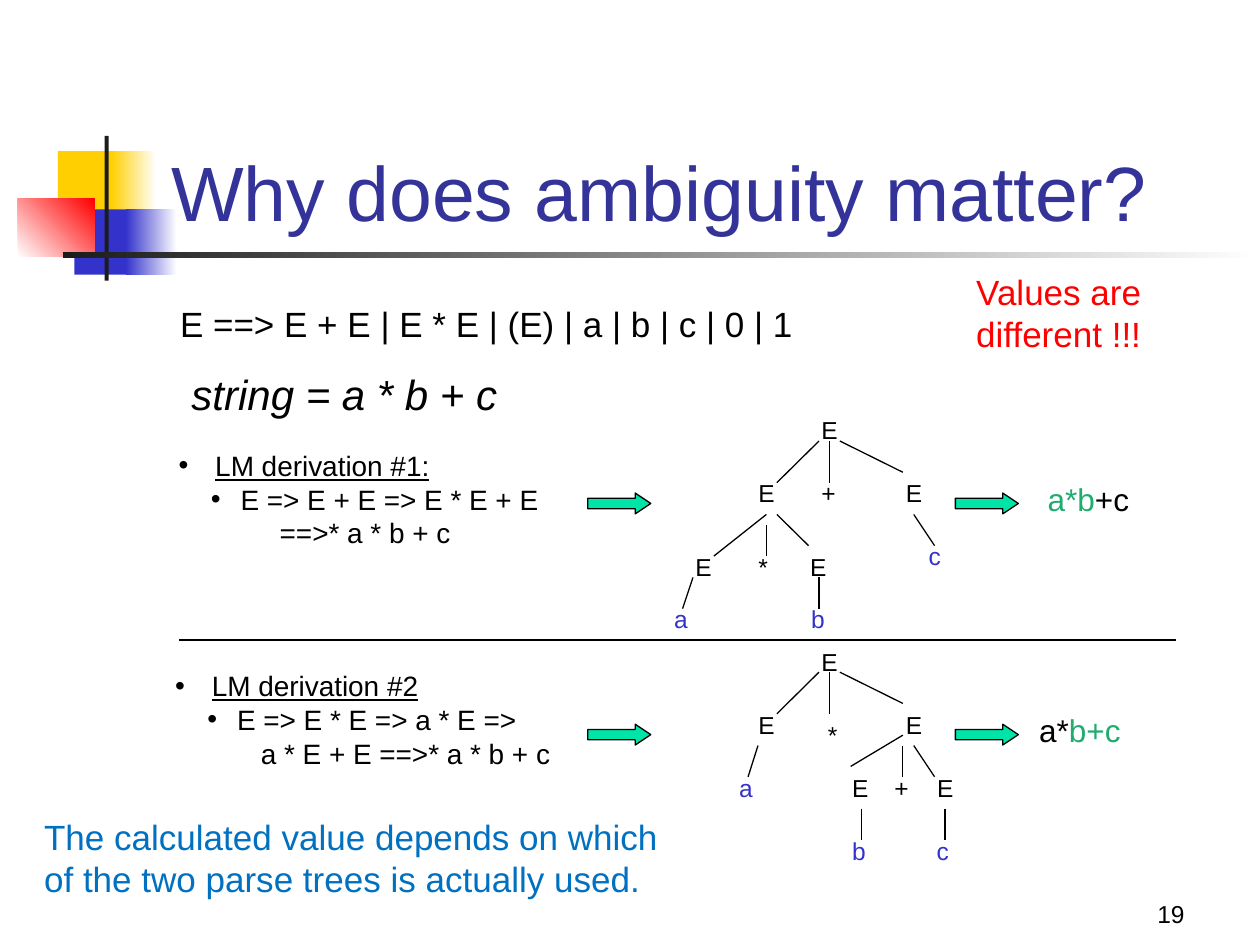
from dataclasses import dataclass

from lxml import etree
from pptx import Presentation
from pptx.dml.color import RGBColor
from pptx.enum.shapes import MSO_CONNECTOR, MSO_SHAPE
from pptx.enum.text import MSO_ANCHOR, PP_ALIGN
from pptx.oxml.ns import qn
from pptx.util import Cm, Pt

RECT, ARROW = MSO_SHAPE.RECTANGLE, MSO_SHAPE.RIGHT_ARROW
STRAIGHT = MSO_CONNECTOR.STRAIGHT
BOTTOM, LEFT, RIGHT = MSO_ANCHOR.BOTTOM, PP_ALIGN.LEFT, PP_ALIGN.RIGHT

FONT = "Arial"
BLACK = RGBColor(0x00, 0x00, 0x00)
WHITE = RGBColor(0xFF, 0xFF, 0xFF)
INK = RGBColor(0x1C, 0x1C, 0x1C)
GOLD = RGBColor(0xFF, 0xCF, 0x01)
BLUE = RGBColor(0x33, 0x33, 0xCC)
NAVY = RGBColor(0x33, 0x33, 0x99)
RED = RGBColor(0xFF, 0x00, 0x00)
SKY = RGBColor(0x00, 0x70, 0xC0)
MINT = RGBColor(0x00, 0xE4, 0xA8)
GREEN = RGBColor(0x20, 0xAC, 0x6F)


@dataclass
class Block:
    left: float
    top: float
    width: float
    height: float
    fill: RGBColor
    end: RGBColor | None = None
    angle: float = 0


@dataclass
class Note:
    text: str
    left: float
    top: float
    width: float
    height: float
    size: float
    color: RGBColor = BLACK


@dataclass
class Tree:
    """A parse tree; the y values of nodes and edges count from top."""
    top: float
    nodes: list[tuple[str, float, float]]
    edges: list[tuple[float, float, float, float]]


BLOCKS = [
    Block(1.17, 3.05, 1.22, 1.32, GOLD),
    Block(2.24, 3.05, 0.91, 1.32, GOLD, WHITE),
    Block(1.5, 4.22, 1.17, 1.32, BLUE),
    Block(2.54, 4.22, 1.02, 1.32, BLUE, WHITE),
    Block(0.36, 4.01, 1.55, 1.17, WHITE, RED, 45),
    Block(2.11, 2.74, 0.08, 2.92, INK),
    Block(1.27, 5.08, 24.13, 0.13, INK, WHITE),
]
NOTES = [
    Note("E ==> E + E | E * E | (E) | a | b | c | 0 | 1",
         3.38, 5.97, 13.13, 1.12, 20),
    Note("Values are\ndifferent !!!", 19.43, 5.33, 4.09, 1.96, 20, RED),
    Note("The calculated value depends on which\n"
         "of the two parse trees is actually used.",
         0.64, 16.31, 13.18, 1.96, 20, SKY),
]
CROWN_NODES = [("E", 16.31, 0), ("E", 15.04, 1.27), ("E", 18.01, 1.27)]
CROWN_EDGES = [(16.51, 0.64, 15.66, 1.48), (16.72, 0.64, 16.72, 1.48),
               (16.93, 0.64, 18.2, 1.27), (18.42, 2.12, 18.84, 2.75)]
TREES = [
    Tree(8.25,
         [("+", 16.31, 1.27), ("E", 13.77, 2.75), ("*", 15.04, 2.75),
          ("E", 16.08, 2.75), ("a", 13.34, 3.81), ("b", 16.1, 3.81),
          ("c", 18.47, 2.54)],
         [(15.45, 2.12, 14.39, 2.96), (15.66, 2.12, 16.3, 2.75),
          (15.45, 2.33, 15.45, 2.96), (13.97, 3.39, 13.76, 4.02),
          (16.51, 3.39, 16.51, 4.02)]),
    Tree(12.91,
         [("*", 16.44, 1.48), ("E", 18.64, 2.54), ("+", 17.78, 2.54),
          ("E", 16.93, 2.54), ("a", 14.65, 2.54), ("b", 16.93, 3.81),
          ("c", 18.63, 3.81)],
         [(19.05, 3.39, 19.05, 4.02), (15.28, 2.12, 15.08, 2.75),
          (17.36, 3.39, 17.36, 4.02), (18.2, 1.91, 17.15, 2.54),
          (18.2, 2.12, 18.2, 2.75)]),
]
NODE_WIDTH = {"E": 0.84, "+": 0.78, "*": 0.71, "a": 0.78, "b": 0.78, "c": 0.75}


def style(run, size: float, color: RGBColor) -> None:
    run.font.name, run.font.size = FONT, Pt(size)
    run.font.color.rgb = color


def write(shapes, note: Note):
    box = shapes.add_textbox(Cm(note.left), Cm(note.top),
                             Cm(note.width), Cm(note.height))
    frame = box.text_frame
    frame.word_wrap = True
    frame.text = note.text
    for para in frame.paragraphs:
        for run in para.runs:
            style(run, note.size, note.color)
    return frame


def paint(shapes, block: Block) -> None:
    shape = shapes.add_shape(RECT, Cm(block.left), Cm(block.top),
                             Cm(block.width), Cm(block.height))
    shape.shadow.inherit = False
    shape.line.fill.background()
    if block.end is None:
        shape.fill.solid()
        shape.fill.fore_color.rgb = block.fill
        return
    shape.fill.gradient()
    shape.fill.gradient_angle = block.angle
    for stop, color, place in zip(shape.fill.gradient_stops,
                                  (block.fill, block.end), (0, 1)):
        stop.color.rgb, stop.position = color, place


def rule(shapes, x1: float, y1: float, x2: float, y2: float) -> None:
    line = shapes.add_connector(STRAIGHT, Cm(x1), Cm(y1), Cm(x2), Cm(y2))
    line.line.color.rgb, line.line.width = BLACK, Pt(0.75)
    etree.SubElement(line.element.spPr, qn("a:effectLst"))


def arrow(shapes, left: float, top: float) -> None:
    shape = shapes.add_shape(ARROW, Cm(left), Cm(top), Cm(1.27), Cm(0.42))
    shape.shadow.inherit = False
    shape.adjustments[0], shape.adjustments[1] = 0.5, 0.75
    shape.fill.solid()
    shape.fill.fore_color.rgb = MINT
    shape.line.color.rgb, shape.line.width = BLACK, Pt(0.75)


def grow(shapes, tree: Tree) -> None:
    """Draw a parse tree and the arrows on both sides of it."""
    for text, left, top in CROWN_NODES + tree.nodes:
        color = BLUE if text.islower() else BLACK
        write(shapes, Note(text, left, tree.top + top, NODE_WIDTH[text],
                           0.84, 14, color))
    for x1, y1, x2, y2 in CROWN_EDGES + tree.edges:
        rule(shapes, x1, tree.top + y1, x2, tree.top + y2)
    for left in (11.85, 19.26):
        arrow(shapes, left, tree.top + 1.69)


def indent(para, margin: float, hang: float = 0) -> None:
    """Set the left margin; a hang above zero also adds a bullet."""
    props = para._p.get_or_add_pPr()
    props.set("marL", str(Cm(margin)))
    props.set("indent", str(-Cm(hang)))
    if hang:
        etree.SubElement(props, qn("a:buFont"), typeface=FONT)
        etree.SubElement(props, qn("a:buChar"), char="•")


def derive(shapes, note: Note, margin: float) -> None:
    """Write a derivation whose last line starts at the margin."""
    head, step, last = write(shapes, note).paragraphs
    head.runs[0].font.underline = True
    indent(head, 0.74, 0.74)
    indent(step, 1.25, 0.6)
    indent(last, margin)


def value(shapes, note: Note, tail: str, color: RGBColor) -> None:
    """Write a result whose tail has its own colour."""
    run = write(shapes, note).paragraphs[0].add_run()
    run.text = tail
    style(run, note.size, color)


def main() -> None:
    deck = Presentation()
    deck.slide_width, deck.slide_height = Cm(25.4), Cm(19.05)
    slide = deck.slides.add_slide(deck.slide_layouts[5])
    shapes = slide.shapes
    for block in BLOCKS:
        paint(shapes, block)

    title = shapes.title
    title.element.getparent().append(title.element)
    title.left, title.top = Cm(3.2), Cm(1.73)
    title.width, title.height = Cm(21.64), Cm(3.18)
    title.text_frame.text = "Why does ambiguity matter?"
    title.text_frame.vertical_anchor = BOTTOM
    para = title.text_frame.paragraphs[0]
    para.alignment = LEFT
    style(para.runs[0], 44, NAVY)

    page = write(shapes, Note("19", 18.85, 17.58, 5.28, 1.27, 14))
    page.vertical_anchor = BOTTOM
    page.paragraphs[0].alignment = RIGHT

    given = write(shapes, Note("string = a * b + c",
                               3.61, 7.42, 6.88, 1.17, 24)).paragraphs[0]
    given.line_spacing, given.space_before = 0.9, Pt(4.8)
    given.runs[0].font.italic = True

    for note in NOTES:
        write(shapes, note)
    derive(shapes, Note("LM derivation #1:\nE => E + E => E * E + E\n"
                        "==>* a * b + c", 3.35, 8.92, 8.26, 2.31, 16), 2.04)
    derive(shapes, Note("LM derivation #2\nE => E * E => a * E =>\n"
                        "a * E + E ==>* a * b + c",
                        3.28, 13.36, 8.59, 2.29, 16), 1.73)
    for tree in TREES:
        grow(shapes, tree)
    value(shapes, Note("a*b", 20.87, 9.55, 2.34, 1.02, 18, GREEN), "+c", BLACK)
    value(shapes, Note("a*", 20.7, 14.2, 2.34, 1.02, 18), "b+c", GREEN)
    rule(shapes, 3.61, 12.9, 23.7, 12.9)
    deck.save("out.pptx")


if __name__ == "__main__":
    main()
